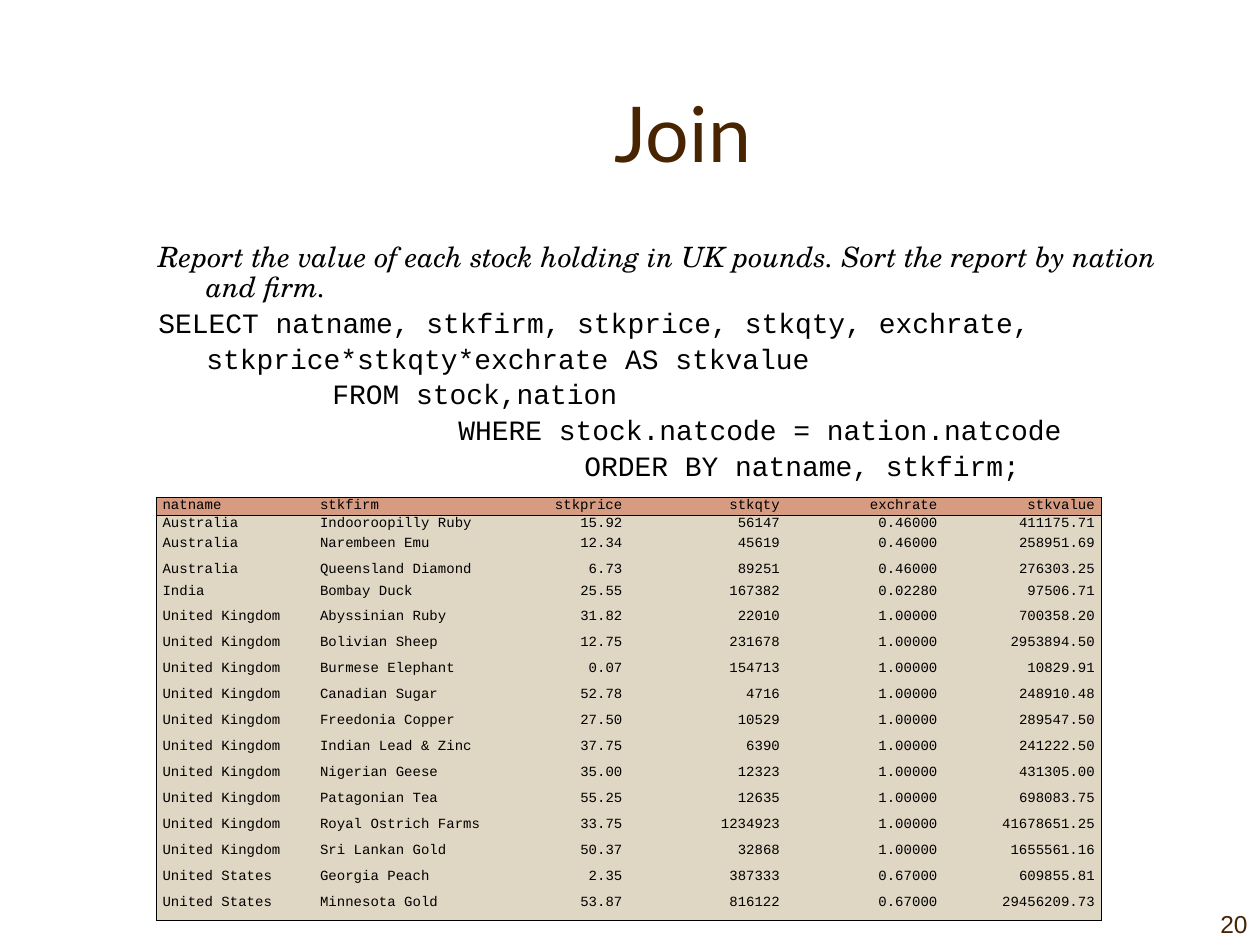
"""Build the Join slide: a query in words, its SQL and the resulting table."""
from lxml.etree import SubElement
from pptx import Presentation
from pptx.dml.color import RGBColor
from pptx.enum.text import MSO_ANCHOR as Anchor, PP_ALIGN as Align
from pptx.oxml.ns import qn
from pptx.util import Inches, Pt

QUESTION = ("Report the value of each stock holding in UK pounds. "
            "Sort the report by nation and firm.")
SELECT = "SELECT natname, stkfirm, stkprice, stkqty, exchrate,"
CLAUSES = [
    "stkprice*stkqty*exchrate AS stkvalue",
    "FROM stock,nation",
    "WHERE stock.natcode = nation.natcode",
    "ORDER BY natname, stkfirm;",
]
HEADER = ["natname", "stkfirm", "stkprice", "stkqty", "exchrate", "stkvalue"]
HOLDINGS = {
    ("Australia", "0.46000"): [
        ("Indooroopilly Ruby", "15.92", "56147", "411175.71"),
        ("Narembeen Emu", "12.34", "45619", "258951.69"),
        ("Queensland Diamond", "6.73", "89251", "276303.25"),
    ],
    ("India", "0.02280"): [("Bombay Duck", "25.55", "167382", "97506.71")],
    ("United Kingdom", "1.00000"): [
        ("Abyssinian Ruby", "31.82", "22010", "700358.20"),
        ("Bolivian Sheep", "12.75", "231678", "2953894.50"),
        ("Burmese Elephant", "0.07", "154713", "10829.91"),
        ("Canadian Sugar", "52.78", "4716", "248910.48"),
        ("Freedonia Copper", "27.50", "10529", "289547.50"),
        ("Indian Lead & Zinc", "37.75", "6390", "241222.50"),
        ("Nigerian Geese", "35.00", "12323", "431305.00"),
        ("Patagonian Tea", "55.25", "12635", "698083.75"),
        ("Royal Ostrich Farms", "33.75", "1234923", "41678651.25"),
        ("Sri Lankan Gold", "50.37", "32868", "1655561.16"),
    ],
    ("United States", "0.67000"): [
        ("Georgia Peach", "2.35", "387333", "609855.81"),
        ("Minnesota Gold", "53.87", "816122", "29456209.73"),
    ],
}
COLUMN_WIDTHS = [1.25, 1.5, 1, 1.25, 1.25, 1.25]
ROW_HEIGHTS = [0.14, 0.16, 0.21, 0.17] + [0.206] * 13


def color(value):
    return RGBColor.from_string(value)


def write(para, text, font="Courier New", size=16, ink="000000", italic=False,
          align=Align.LEFT, before=None, line=None, left=0, first=0):
    span = para.add_run()
    span.text = text
    span.font.name, span.font.size = font, Pt(size)
    span.font.italic, span.font.color.rgb = italic, color(ink)
    para.alignment = align
    if line:
        para.line_spacing = line
    properties = para._p.get_or_add_pPr()
    if before:
        para.space_before = Pt(0)
        spacing = properties.find(qn("a:spcBef"))
        spacing.remove(spacing[0])
        SubElement(spacing, qn("a:spcPct"), val=str(before * 1000))
    properties.set("marL", str(Inches(left)))
    properties.set("indent", str(Inches(first)))


class Page:
    """Draws text and tables on one slide in the deck's style."""

    accent, ink = "482400", "000000"
    header_fill, body_fill = "D69B80", "DFD6C3"

    def __init__(self, slide):
        self.slide = slide

    def text(self, left, top, width, height, lines, anchor=Anchor.TOP, wrap=True):
        box = self.slide.shapes.add_textbox(
            Inches(left), Inches(top), Inches(width), Inches(height))
        frame = box.text_frame
        frame.word_wrap, frame.vertical_anchor = wrap, anchor
        for index, (text, style) in enumerate(lines):
            para = frame.add_paragraph() if index else frame.paragraphs[0]
            write(para, text, **style)

    def border(self, cell, sides):
        properties = cell._tc.get_or_add_tcPr()
        for position, side in enumerate(("lnL", "lnR", "lnT", "lnB")):
            visible = side in sides
            edge = properties.makeelement(qn("a:" + side), {"w": str(Pt(1) if visible else 0)})
            properties.insert(position, edge)
            if visible:
                fill = SubElement(edge, qn("a:solidFill"))
                SubElement(fill, qn("a:srgbClr"), val=self.ink)
            else:
                SubElement(edge, qn("a:noFill"))

    def table(self, left, top, rows, widths, heights):
        table = self.slide.shapes.add_table(
            len(rows), len(widths), Inches(left), Inches(top),
            Inches(sum(widths)), Inches(sum(heights))).table
        for column, width in zip(table.columns, widths):
            column.width = Inches(width)
        for row, height in zip(table.rows, heights):
            row.height = Inches(height)
        for r, values in enumerate(rows):
            for c, value in enumerate(values):
                cell = table.cell(r, c)
                cell.margin_left = cell.margin_right = Inches(0.05)
                cell.margin_top = cell.margin_bottom = 0
                cell.fill.solid()
                cell.fill.fore_color.rgb = color(self.body_fill if r else self.header_fill)
                write(cell.text_frame.paragraphs[0], value, size=8, before=20,
                      align=Align.RIGHT if c > 1 else Align.LEFT)
                rules = {"lnL": c == 0, "lnR": c == len(widths) - 1,
                         "lnT": r < 2, "lnB": r in (0, len(rows) - 1)}
                self.border(cell, [side for side, shown in rules.items() if shown])


deck = Presentation()
deck.slide_width, deck.slide_height = Inches(10), Inches(7.5)
page = Page(deck.slides.add_slide(deck.slide_layouts[6]))

page.text(9.01, 7, 0.99, 0.5,
          [("20", dict(font="Arial", size=14, ink=page.accent, align=Align.RIGHT))],
          anchor=Anchor.BOTTOM, wrap=False)
page.text(1.17, 0.42, 8.5, 1.25,
          [("Join", dict(font="Lato", size=44, ink=page.accent, align=Align.CENTER))],
          anchor=Anchor.MIDDLE)

spacing = dict(before=20, line=0.9)
hanging = dict(spacing, left=0.38, first=-0.38)
query = [(QUESTION, dict(hanging, font="TeX Gyre Schola", italic=True)), (SELECT, hanging)]
query += [(clause, dict(spacing, left=0.38 + step)) for step, clause in enumerate(CLAUSES)]
page.text(1.16, 1.88, 8.5, 2.35, query)

holdings = [(nation, firm, price, quantity, rate, value)
            for (nation, rate), stocks in HOLDINGS.items()
            for firm, price, quantity, value in stocks]
page.table(1.24, 3.95, [HEADER] + holdings, COLUMN_WIDTHS, ROW_HEIGHTS)

deck.save("out.pptx")
